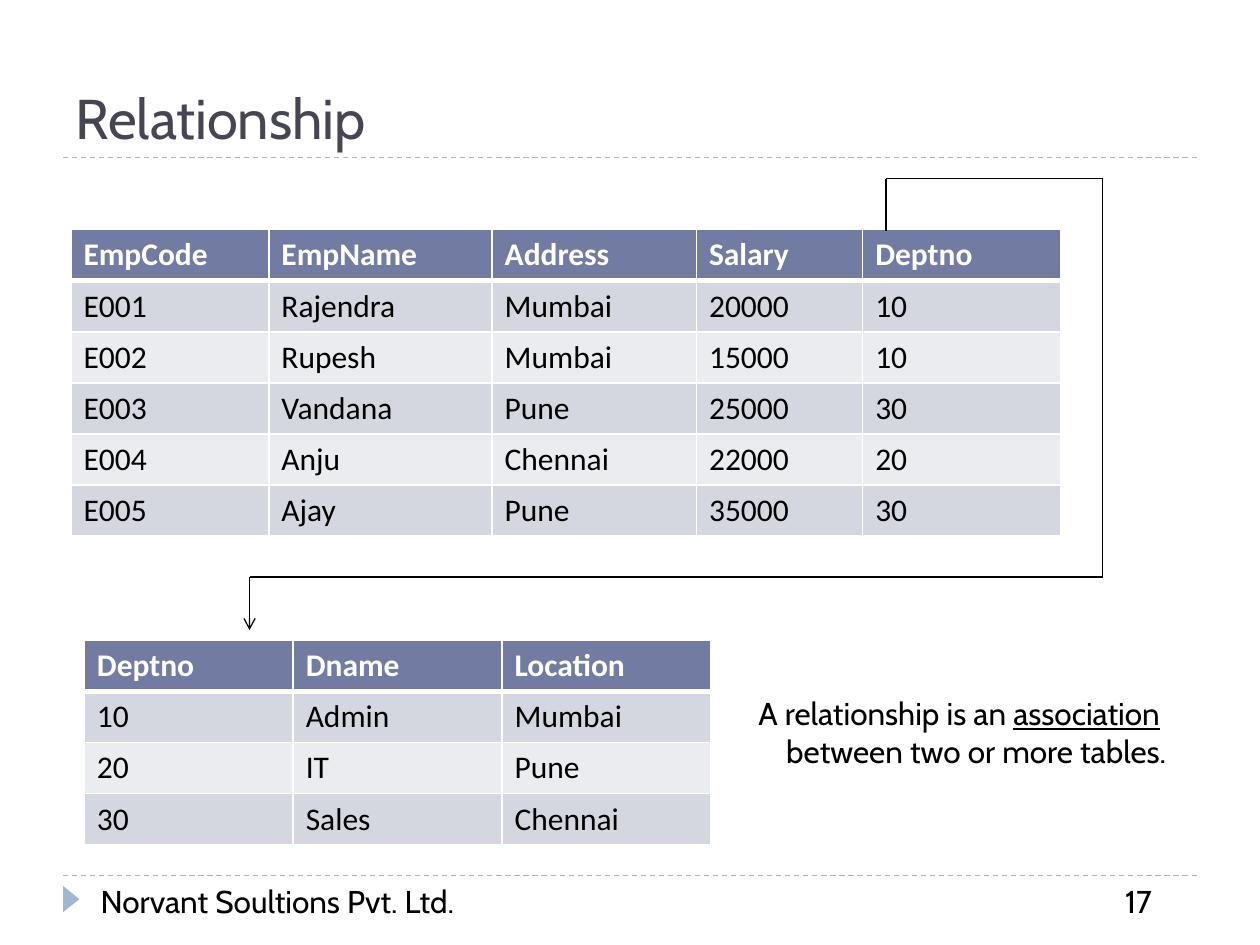
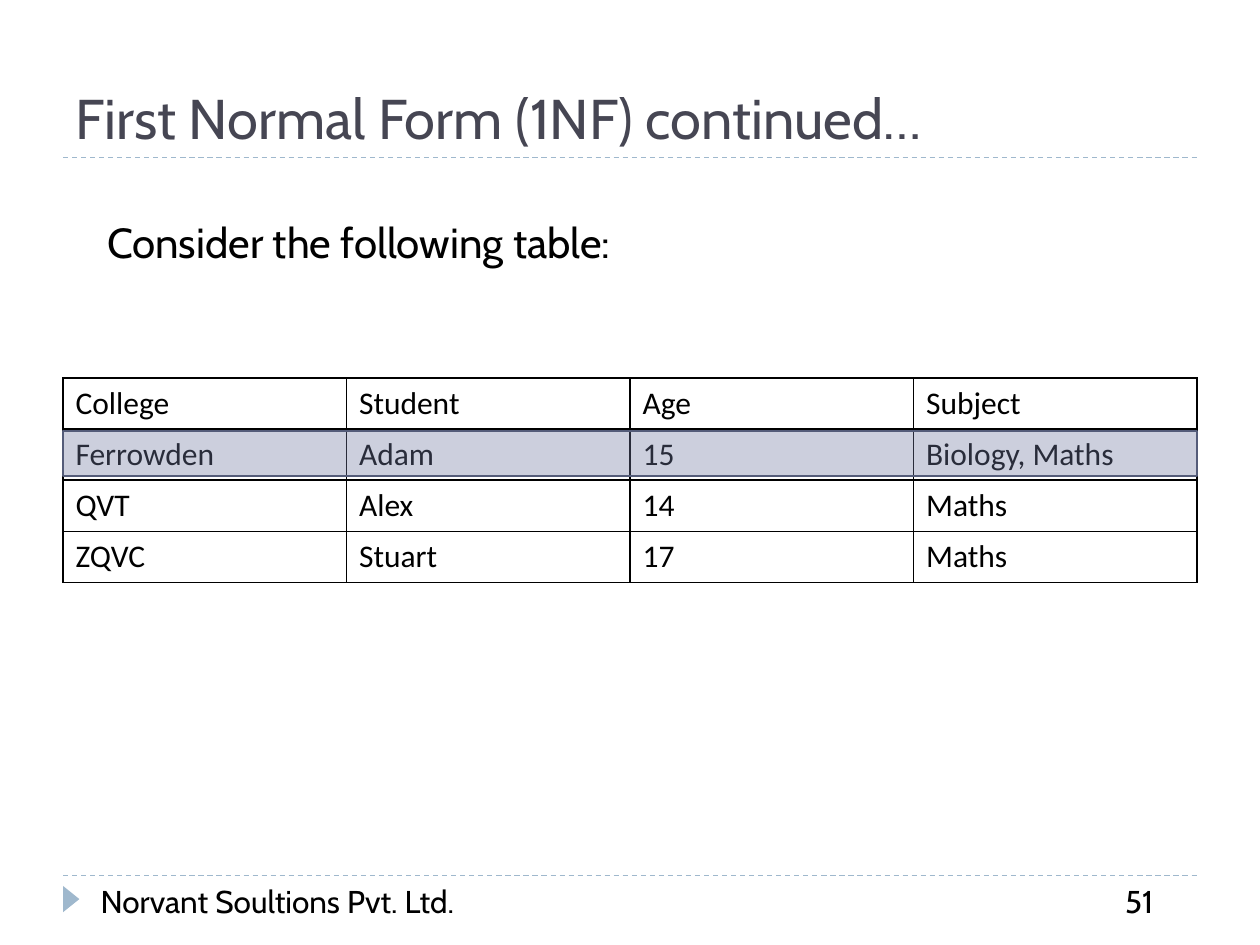
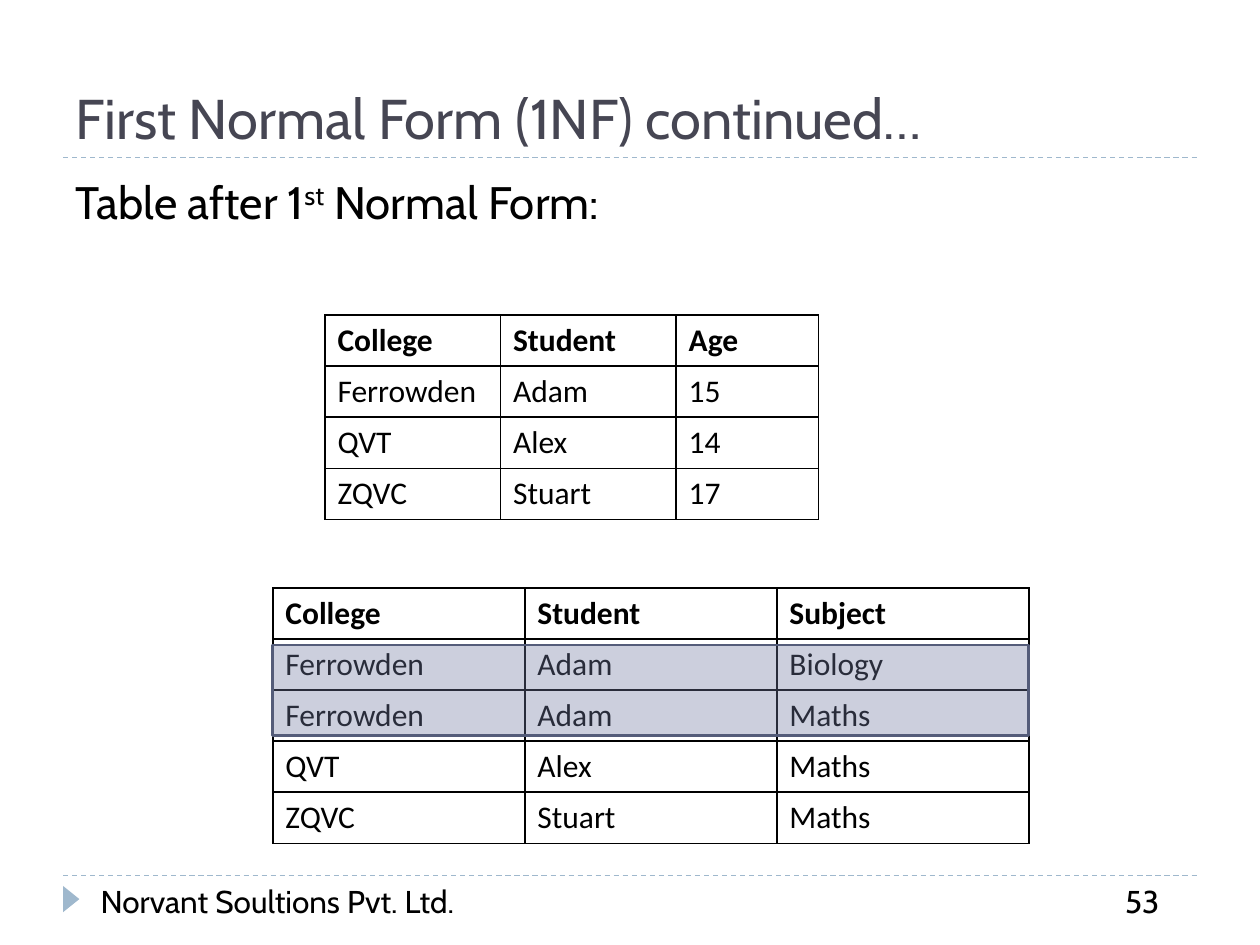
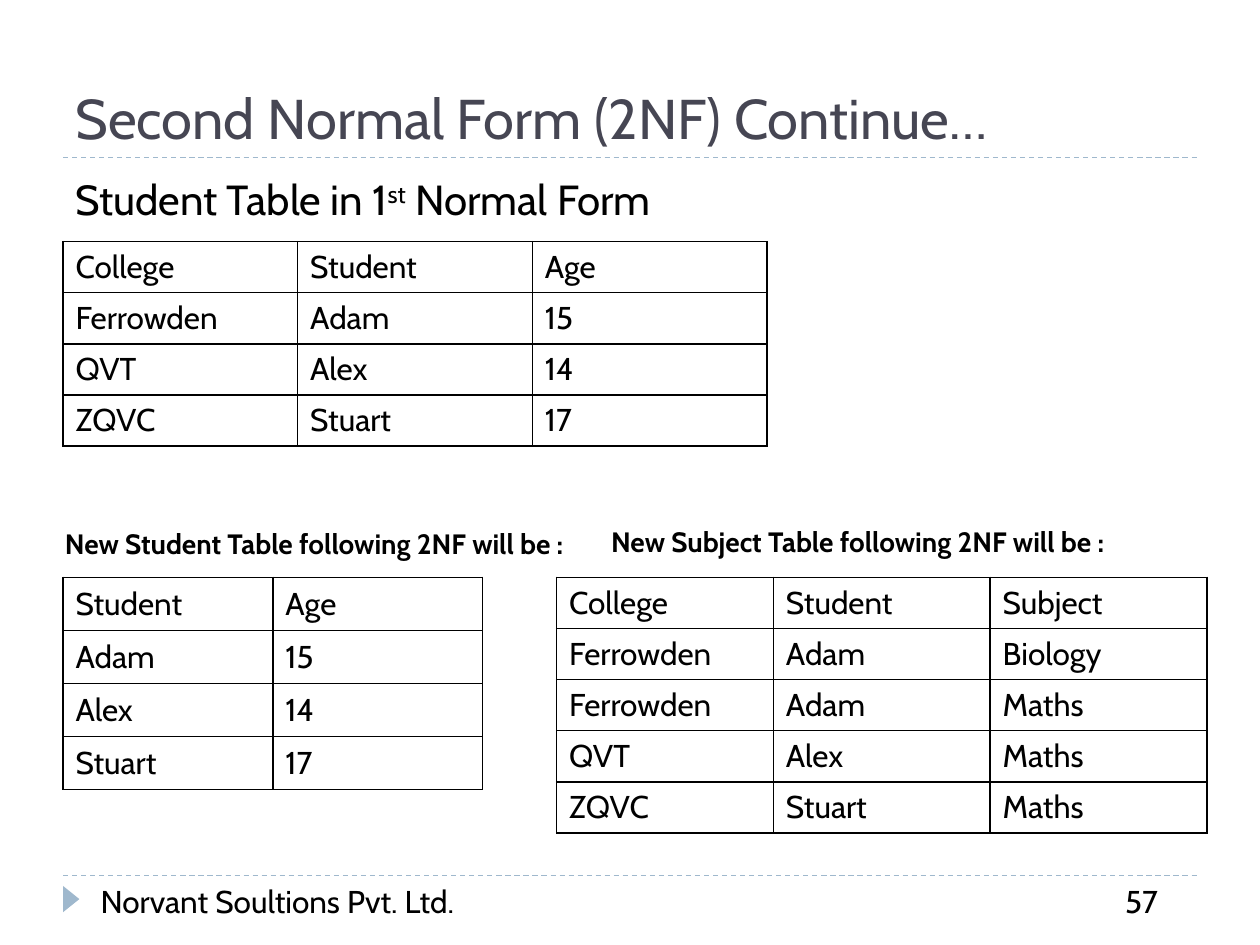
import pptx
import pptx.util
import pptx.dml.color
import pptx.enum.dml
import pptx.enum.shapes
import pptx.enum.text
import pptx.oxml
import pptx.oxml.ns
import lxml.etree

Cm = pptx.util.Cm
Pt = pptx.util.Pt
RGBColor = pptx.dml.color.RGBColor
qn = pptx.oxml.ns.qn

BLACK = RGBColor(0x00, 0x00, 0x00)
WHITE = RGBColor(0xFF, 0xFF, 0xFF)
SLATE = RGBColor(0x46, 0x46, 0x53)
SKY = RGBColor(0x9F, 0xB8, 0xCD)
INDIGO = RGBColor(0x72, 0x7C, 0xA3)
INDIGO_EDGE = RGBColor(0x54, 0x5C, 0x79)
BAND_DARK = RGBColor(0xD5, 0xD7, 0xE0)
BAND_LIGHT = RGBColor(0xEB, 0xEC, 0xF0)

STUDENTS = [
    ("College", "Student", "Age"),
    ("Ferrowden", "Adam", "15"),
    ("QVT", "Alex", "14"),
    ("ZQVC", "Stuart", "17"),
]
SUBJECTS = [
    ("College", "Student", "Subject"),
    ("Ferrowden", "Adam", "Biology"),
    ("Ferrowden", "Adam", "Maths"),
    ("QVT", "Alex", "Maths"),
    ("ZQVC", "Stuart", "Maths"),
]


class Deck:
    font = "Cabin"
    table_font = "Calibri"
    margin = 1.27
    width = 22.86
    company = "Norvant Soultions Pvt. Ltd."

    def __init__(self):
        self.presentation = pptx.Presentation()
        self.presentation.slide_width = Cm(25.4)
        self.presentation.slide_height = Cm(19.05)
        self.slide = None

    def new_slide(self, title, number):
        self.slide = self.presentation.slides.add_slide(self.presentation.slide_layouts[6])
        right = self.margin + self.width
        for rule_y in (17.65, 3.18):
            self.line((self.margin, rule_y), (right, rule_y), SKY, dashed=True)
        marker = self.shape("ISOSCELES_TRIANGLE", 1.17, 17.96, 0.53, 0.33, SKY)
        marker.rotation = 90
        self.text(self.margin, 0.43, self.width, 2.74, [title], 32, SLATE, anchor="BOTTOM")
        self.text(1.78, 17.65, 9.65, 1.02, [self.company])
        self.text(22.43, 17.65, 1.7, 1.02, [number])

    def style_run(self, run, size, color, font=None, bold=False):
        run.font.name = font or self.font
        run.font.size = Pt(size)
        run.font.color.rgb = color
        run.font.bold = bold

    def text(self, left, top, width, height, parts, size=18, color=BLACK, bold=False,
             anchor="TOP", wrap=True, before=0, hanging=0):
        box = self.slide.shapes.add_textbox(Cm(left), Cm(top), Cm(width), Cm(height))
        frame = box.text_frame
        frame.word_wrap = wrap
        frame.vertical_anchor = getattr(pptx.enum.text.MSO_ANCHOR, anchor)
        paragraph = frame.paragraphs[0]
        paragraph.space_before = Pt(before)
        if hanging:
            properties = paragraph._p.get_or_add_pPr()
            properties.set("marL", str(Cm(hanging)))
            properties.set("indent", str(-Cm(hanging)))
        for part in parts:
            words, effect = part if isinstance(part, tuple) else (part, None)
            run = paragraph.add_run()
            run.text = words
            self.style_run(run, size, color, bold=bold)
            if effect == "underline":
                run.font.underline = True
            elif effect == "superscript":
                run._r.get_or_add_rPr().set("baseline", "30000")

    def line(self, start, end, color=BLACK, dashed=False, arrow=False):
        connector = self.slide.shapes.add_connector(
            pptx.enum.shapes.MSO_CONNECTOR.STRAIGHT, *map(Cm, start + end))
        connector.line.color.rgb = color
        connector.line.width = Pt(0.75)
        if dashed:
            connector.line.dash_style = pptx.enum.dml.MSO_LINE.DASH
        if arrow:
            outline = connector.line._get_or_add_ln()
            lxml.etree.SubElement(outline, qn("a:tailEnd"), type="arrow")
        lxml.etree.SubElement(connector._element.spPr, qn("a:effectLst"))

    def shape(self, kind, left, top, width, height, fill):
        shape = self.slide.shapes.add_shape(
            getattr(pptx.enum.shapes.MSO_SHAPE, kind), Cm(left), Cm(top), Cm(width), Cm(height))
        shape.shadow.inherit = False
        shape.fill.solid()
        shape.fill.fore_color.rgb = fill
        shape.line.fill.background()
        return shape

    def highlight(self, left, top, width, height):
        band = self.shape("RECTANGLE", left, top, width, height, INDIGO)
        band.line.color.rgb = INDIGO_EDGE
        band.line.width = Pt(1.5)
        color = band._element.spPr.find(qn("a:solidFill"))[0]
        lxml.etree.SubElement(color, qn("a:alpha"), val="36000")

    def borders(self, cell, color, widths):
        properties = cell._tc.get_or_add_tcPr()
        for side, width in zip("LRTB", widths):
            edge = lxml.etree.SubElement(properties, qn("a:ln" + side), w=str(Pt(width)))
            fill = lxml.etree.SubElement(edge, qn("a:solidFill"))
            lxml.etree.SubElement(fill, qn("a:srgbClr"), val=str(color))

    def table(self, left, top, columns, rows, row_height=1.03, font=None,
              banded=False, bold_header=False):
        frame = self.slide.shapes.add_table(
            len(rows), len(columns), Cm(left), Cm(top),
            Cm(sum(columns)), Cm(row_height * len(rows)))
        table = frame.table
        table.horz_banding = False
        for column, width in zip(table.columns, columns):
            column.width = Cm(width)
        for index, values in enumerate(rows):
            table.rows[index].height = Cm(row_height)
            header = index == 0
            for cell, value in zip(table.rows[index].cells, values):
                if banded:
                    self.borders(cell, WHITE, (1, 1, 3 if index == 1 else 1, 3 if header else 1))
                    cell.fill.solid()
                    cell.fill.fore_color.rgb = (
                        INDIGO if header else BAND_DARK if index % 2 else BAND_LIGHT)
                else:
                    self.borders(cell, BLACK, (1, 1, 1, 1))
                    cell.fill.background()
                    cell.vertical_anchor = pptx.enum.text.MSO_ANCHOR.MIDDLE
                run = cell.text_frame.paragraphs[0].add_run()
                run.text = value
                self.style_run(run, 18, WHITE if banded and header else BLACK,
                               font or self.table_font, header and bold_header)


def relationship(deck):
    deck.new_slide("Relationship", "17")
    employees = [
        ("EmpCode", "EmpName", "Address", "Salary", "Deptno"),
        ("E001", "Rajendra", "Mumbai", "20000", "10"),
        ("E002", "Rupesh", "Mumbai", "15000", "10"),
        ("E003", "Vandana", "Pune", "25000", "30"),
        ("E004", "Anju", "Chennai", "22000", "20"),
        ("E005", "Ajay", "Pune", "35000", "30"),
    ]
    departments = [
        ("Deptno", "Dname", "Location"),
        ("10", "Admin", "Mumbai"),
        ("20", "IT", "Pune"),
        ("30", "Sales", "Chennai"),
    ]
    deck.table(1.43, 4.63, (3.99, 4.5, 4.12, 3.35, 3.99), employees,
               banded=True, bold_header=True)
    deck.table(1.7, 12.91, (4.21,) * 3, departments, banded=True, bold_header=True)
    key_route = [(17.86, 4.65), (17.86, 3.6), (22.23, 3.6),
                 (22.23, 11.63), (5.03, 11.63), (5.03, 12.7)]
    for start, end in zip(key_route, key_route[1:]):
        deck.line(start, end, arrow=end == key_route[-1])
    deck.text(15.04, 13.87, 9.96, 1.8,
              ["A relationship is an ", ("association", "underline"),
               " between two or more tables."], hanging=0.56)


def unnormalised(deck):
    deck.new_slide("First Normal Form (1NF) continued…", "51")
    subjects = ("Subject", "Biology, Maths", "Maths", "Maths")
    rows = [student + (subject,) for student, subject in zip(STUDENTS, subjects)]
    deck.table(deck.margin, 7.62, (deck.width / 4,) * 4, rows)
    deck.highlight(deck.margin, 8.69, deck.width, 0.91)
    deck.text(1.91, 4.24, 10.9, 1.27, ["Consider the following table:"], 24, wrap=False)


def first_normal_form(deck):
    deck.new_slide("First Normal Form (1NF) continued…", "53")
    deck.text(deck.margin, 3.38, deck.width, 8.05,
              ["Table after 1", ("st", "superscript"), " Normal Form:"], 26, before=6)
    deck.table(6.55, 6.35, (3.54, 3.54, 2.87), STUDENTS, bold_header=True)
    deck.table(5.5, 11.85, (5.08,) * 3, SUBJECTS, bold_header=True)
    deck.highlight(5.5, 13, 15.24, 1.83)


def second_normal_form(deck):
    deck.new_slide("Second Normal Form (2NF) Continue…", "57")
    deck.table(deck.margin, 4.87, (4.73,) * 3, STUDENTS, font=deck.font)
    ages = [student[1:] for student in STUDENTS]
    deck.table(deck.margin, 11.64, (4.23,) * 2, ages, row_height=1.07, font=deck.font)
    deck.table(11.22, 11.64, (4.37,) * 3, SUBJECTS, font=deck.font)
    deck.text(deck.margin, 3.38, 12.42, 1.27,
              ["Student Table in 1", ("st", "superscript"), " Normal Form"], 24, wrap=False)
    deck.text(1.06, 10.49, 10.69, 0.94, ["New Student Table following 2NF will be :"],
              16, bold=True, wrap=False)
    deck.text(12.07, 10.44, 10.52, 0.94, ["New Subject Table following 2NF will be :"],
              16, bold=True, wrap=False)


def main():
    deck = Deck()
    for build in (relationship, unnormalised, first_normal_form, second_normal_form):
        build(deck)
    deck.presentation.save("out.pptx")


if __name__ == "__main__":
    main()
